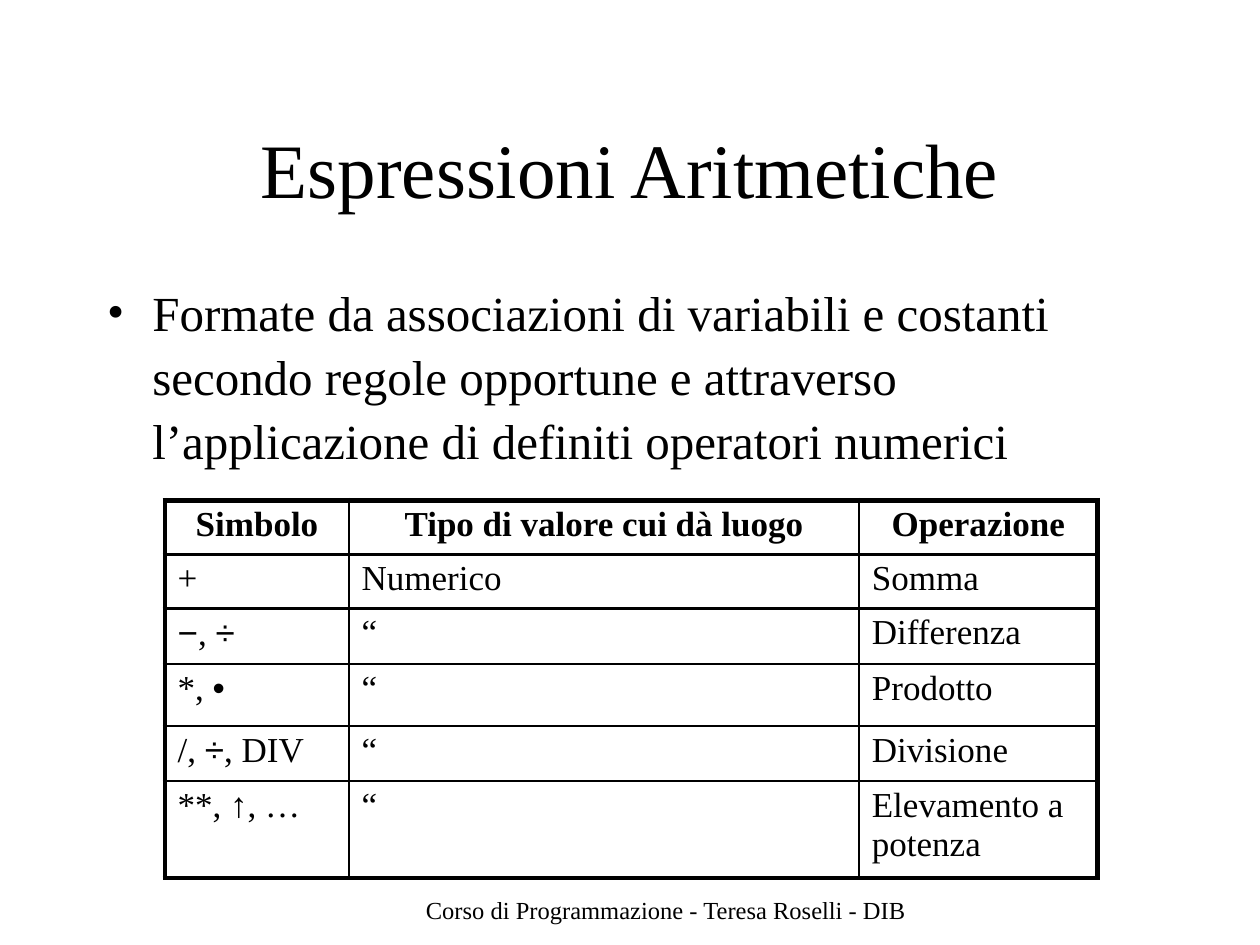
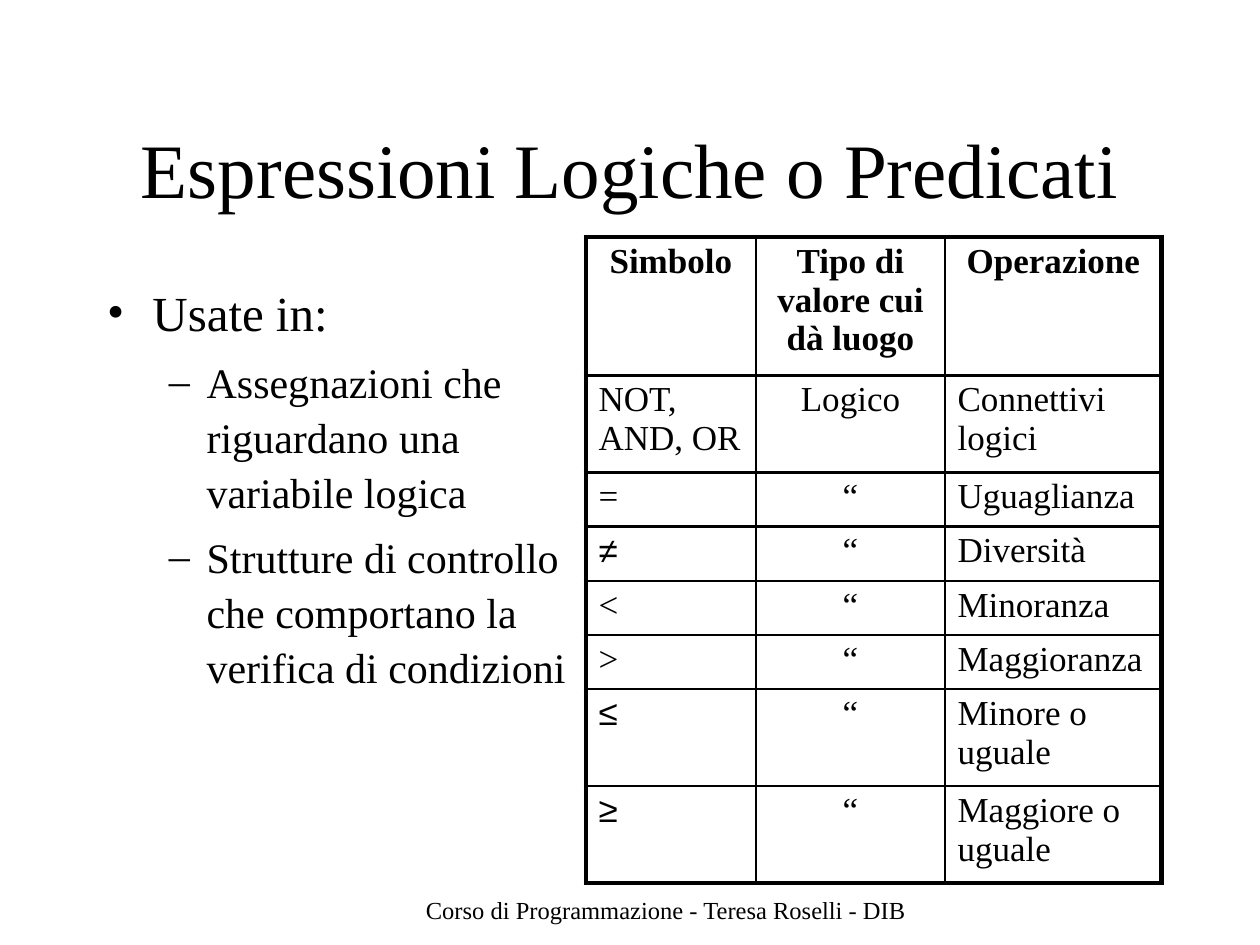
import itertools
from dataclasses import dataclass

import lxml.etree
import pptx
import pptx.dml.color
import pptx.enum.text
import pptx.oxml.ns
import pptx.util

WIDTH, HEIGHT = 10, 7.5
COLS, ROWS = 100, 75
INK = "000000"
SERIF, SANS = "Times New Roman", "Arial"
SYMBOLS = "−÷•↑≠≤≥"
LEFT = pptx.enum.text.PP_ALIGN.LEFT
CENTER = pptx.enum.text.PP_ALIGN.CENTER
LEADING = 1.09
FOOTER = "Corso di Programmazione - Teresa Roselli - DIB"
HEADER = ("Simbolo", "Tipo di valore cui dà luogo", "Operazione")
DITTO = "“"
THICK, THIN = 3, 1.5


@dataclass(frozen=True)
class Level:
    mark: str
    size: int
    margin: float
    hanging: float
    before: float


@dataclass(frozen=True)
class OperatorTable:
    left: float
    top: float
    cols: tuple[float, ...]
    rows: tuple[float, ...]
    type_align: pptx.enum.text.PP_ALIGN
    operators: tuple[tuple[str, str, str], ...]


@dataclass(frozen=True)
class Lesson:
    title: str
    title_cols: float
    body_cols: float
    body_rows: float
    bullets: tuple[tuple[int, str], ...]
    table: OperatorTable


LEVELS = (Level("•", 28, 3.8, 3.6, 0), Level("–", 24, 8.1, 3, 6))

LESSONS = (
    Lesson(
        "Espressioni Aritmetiche", 59.2, 76, 14.2,
        ((0, "Formate da associazioni di variabili e costanti secondo regole "
             "opportune e attraverso l’applicazione di definiti operatori numerici"),),
        OperatorTable(
            13.1, 39.7, (14.6, 40.5, 18.9), (4.3, 4.3, 4.4, 4.9, 4.4, 7.7), LEFT,
            (("+", "Numerico", "Somma"),
             ("−, ÷", DITTO, "Differenza"),
             ("*, •", DITTO, "Prodotto"),
             ("/, ÷, DIV", DITTO, "Divisione"),
             ("**, ↑, …", DITTO, "Elevamento a potenza")))),
    Lesson(
        "Espressioni Logiche o Predicati", 77.9, 37.2, 30.5,
        ((0, "Usate in:"),
         (1, "Assegnazioni che riguardano una variabile logica"),
         (1, "Strutture di controllo che comportano la verifica di condizioni")),
        OperatorTable(
            46.5, 18.8, (13.5, 15, 17.2), (11, 7.7) + (4.3,) * 4 + (7.7,) * 2, CENTER,
            (("NOT,\nAND, OR", "Logico", "Connettivi\nlogici"),
             ("=", DITTO, "Uguaglianza"),
             ("≠", DITTO, "Diversità"),
             ("<", DITTO, "Minoranza"),
             (">", DITTO, "Maggioranza"),
             ("≤", DITTO, "Minore o\nuguale"),
             ("≥", DITTO, "Maggiore o uguale")))),
)


def x(cols: float) -> int:
    return pptx.util.Inches(WIDTH * cols / COLS)


def y(rows: float) -> int:
    return pptx.util.Inches(HEIGHT * rows / ROWS)


def color(value: str) -> pptx.dml.color.RGBColor:
    return pptx.dml.color.RGBColor.from_string(value)


def add_element(parent, tag: str, **attributes: str):
    return lxml.etree.SubElement(parent, pptx.oxml.ns.qn(tag), attributes)


def write(p, text: str, *, size: float, bold: bool = False, align=LEFT,
          leading=None, before: float = 0) -> None:
    p.alignment = align
    if leading:
        p.line_spacing = leading
    if before:
        p.space_before = pptx.util.Pt(before)
    for symbolic, letters in itertools.groupby(text, lambda letter: letter in SYMBOLS):
        r = p.add_run()
        r.text = "".join(letters)
        r.font.name = SANS if symbolic else SERIF
        r.font.size = pptx.util.Pt(size)
        r.font.bold = bold
        r.font.color.rgb = color(INK)


def add_box(s, left: float, top: float, cols: float, rows: float, wrap: bool = True):
    tf = s.shapes.add_textbox(x(left), y(top), x(cols), y(rows)).text_frame
    tf.word_wrap = wrap
    tf.margin_left = tf.margin_right = tf.margin_top = tf.margin_bottom = 0
    return tf


def add_bullets(s, lesson: Lesson) -> None:
    tf = add_box(s, 8.3, 22, lesson.body_cols, lesson.body_rows)
    for i, (depth, text) in enumerate(lesson.bullets):
        p = tf.add_paragraph() if i else tf.paragraphs[0]
        level = LEVELS[depth]
        p.level = depth
        pPr = p._p.get_or_add_pPr()
        pPr.set("marL", str(x(level.margin)))
        pPr.set("indent", str(-x(level.hanging)))
        add_element(pPr, "a:buFont", typeface=SERIF)
        add_element(pPr, "a:buChar", char=level.mark)
        write(p, text, size=level.size, leading=LEADING, before=level.before)


def add_borders(cell, outer: dict[str, bool]) -> None:
    tcPr = cell._tc.get_or_add_tcPr()
    for side, is_outer in outer.items():
        width = pptx.util.Pt(THICK if is_outer else THIN)
        ln = add_element(tcPr, f"a:ln{side}", w=str(width))
        add_element(add_element(ln, "a:solidFill"), "a:srgbClr", val=INK)


def add_operators(s, spec: OperatorTable) -> None:
    values = (HEADER, *spec.operators)
    last_row, last_col = len(spec.rows) - 1, len(spec.cols) - 1
    frame = s.shapes.add_table(len(spec.rows), len(spec.cols), x(spec.left), y(spec.top),
                               x(sum(spec.cols)), y(sum(spec.rows)))
    table = frame.table
    table.first_row = table.horz_banding = False
    for column, width in zip(table.columns, spec.cols):
        column.width = x(width)
    for row, height in zip(table.rows, spec.rows):
        row.height = y(height)
    for i, j in itertools.product(range(last_row + 1), range(last_col + 1)):
        cell = table.cell(i, j)
        is_header = i == 0
        align = CENTER if is_header else spec.type_align if j == 1 else LEFT
        cell.margin_left = x(1)
        cell.margin_right = x(1 if align == CENTER else 0)
        cell.margin_top, cell.margin_bottom = y(0.4), 0
        add_borders(cell, {"L": j == 0, "R": j == last_col,
                           "T": is_header, "B": i == last_row})
        cell.fill.background()
        tf = cell.text_frame
        for k, line in enumerate(values[i][j].split("\n")):
            p = tf.add_paragraph() if k else tf.paragraphs[0]
            write(p, line, size=20, bold=is_header, align=align)


def add_lesson(prs, lesson: Lesson) -> None:
    s = prs.slides.add_slide(prs.slide_layouts[6])
    footer = add_box(s, 33.8, 71.1, 38.2, 2.4)
    write(footer.paragraphs[0], FOOTER, size=14, leading=pptx.util.Pt(16.3))
    title = add_box(s, (COLS - lesson.title_cols) / 2, 9, lesson.title_cols, 7.5, wrap=False)
    write(title.paragraphs[0], lesson.title, size=44, align=CENTER, leading=LEADING)
    add_bullets(s, lesson)
    add_operators(s, lesson.table)


def main() -> None:
    prs = pptx.Presentation()
    prs.slide_width, prs.slide_height = x(COLS), y(ROWS)
    for lesson in LESSONS:
        add_lesson(prs, lesson)
    prs.save("out.pptx")


if __name__ == "__main__":
    main()
